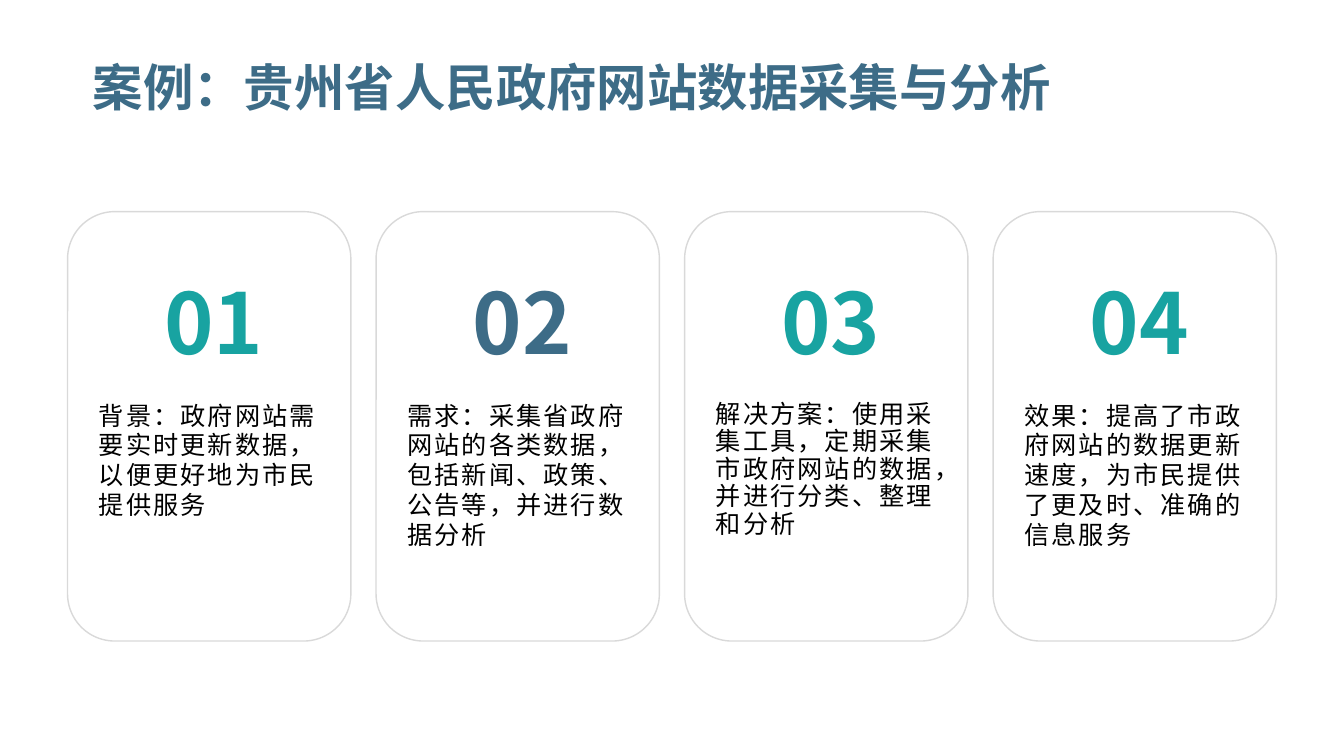
import pptx
import pptx.dml.color
import pptx.enum.shapes
import pptx.enum.text
import pptx.oxml.ns
import pptx.util
from lxml import etree

Inches = pptx.util.Inches
Align = pptx.enum.text.PP_ALIGN
Anchor = pptx.enum.text.MSO_ANCHOR

HEADLINE = "案例：贵州省人民政府网站数据采集与分析"
STAGES = [
    ("01", "teal", 0.99, "背景：政府网站需要实时更新数据，以便更好地为市民提供服务"),
    ("02", "blue", 0.99, "需求：采集省政府网站的各类数据，包括新闻、政策、公告等，并进行数据分析"),
    ("03", "teal", 0.91, "解决方案：使用采集工具，定期采集市政府网站的数据，并进行分类、整理和分析"),
    ("04", "teal", 0.99, "效果：提高了市政府网站的数据更新速度，为市民提供了更及时、准确的信息服务"),
]

THEME = {
    "teal": "18A3A1", "blue": "3D6C87", "ink": "000000", "border": "D9D9D9",
    "headline": 36, "number": 60, "body": 18,
    "latin": "Arial", "cjk": "Noto Sans CJK SC",
}

CARD_LEFT, CARD_TOP, CARD_WIDTH, CARD_HEIGHT = 0.67, 2.1, 2.81, 4.26
CARD_STEP = 3.06


def color(name):
    return pptx.dml.color.RGBColor.from_string(THEME[name])


def add_text(slide, text, box, *, size, ink, font="cjk", bold=False, align=Align.LEFT,
             anchor=Anchor.TOP, insets=(0, 0, 0, 0), line_spacing=None, tracking=0):
    frame = slide.shapes.add_textbox(*map(Inches, box)).text_frame
    frame.word_wrap = True
    frame.vertical_anchor = anchor
    (frame.margin_left, frame.margin_top,
     frame.margin_right, frame.margin_bottom) = map(Inches, insets)
    paragraph = frame.paragraphs[0]
    paragraph.alignment = align
    if line_spacing:
        paragraph.line_spacing = line_spacing
    run = paragraph.add_run()
    run.text = text
    run.font.size = pptx.util.Pt(THEME[size])
    run.font.bold = bold
    run.font.color.rgb = color(ink)
    run.font.name = THEME[font]
    properties = run.font._element
    properties.set("lang", "zh-CN")
    if tracking:
        properties.set("spc", str(round(tracking * 100)))
    east_asian = etree.SubElement(properties, pptx.oxml.ns.qn("a:ea"))
    east_asian.set("typeface", THEME["cjk"])


def add_card(slide, left):
    card = slide.shapes.add_shape(
        pptx.enum.shapes.MSO_SHAPE.ROUNDED_RECTANGLE,
        *map(Inches, (left, CARD_TOP, CARD_WIDTH, CARD_HEIGHT)))
    card.shadow.inherit = False
    card.fill.background()
    card.line.color.rgb = color("border")
    card.line.width = pptx.util.Pt(1)


def main():
    deck = pptx.Presentation()
    deck.slide_width, deck.slide_height = Inches(13.33), Inches(7.5)
    slide = deck.slides.add_slide(deck.slide_layouts[6])
    add_text(slide, HEADLINE, (0.92, 0.39, 11.5, 0.94), size="headline", ink="blue",
             font="latin", bold=True, anchor=Anchor.MIDDLE)
    for index, (number, accent, spacing, description) in enumerate(STAGES):
        left = CARD_LEFT + index * CARD_STEP
        add_card(slide, left)
        add_text(slide, number, (left + 0.45, 2.58, 1.9, 1.2), size="number", ink=accent,
                 bold=True, align=Align.CENTER, anchor=Anchor.MIDDLE,
                 insets=(0.1, 0.05, 0, 0.05))
        add_text(slide, description, (left + 0.23, 3.93, 2.34, 2.02), size="body", ink="ink",
                 insets=(0.08, 0.05, 0, 0.05), line_spacing=spacing, tracking=1.5)
    deck.save("out.pptx")


if __name__ == "__main__":
    main()
